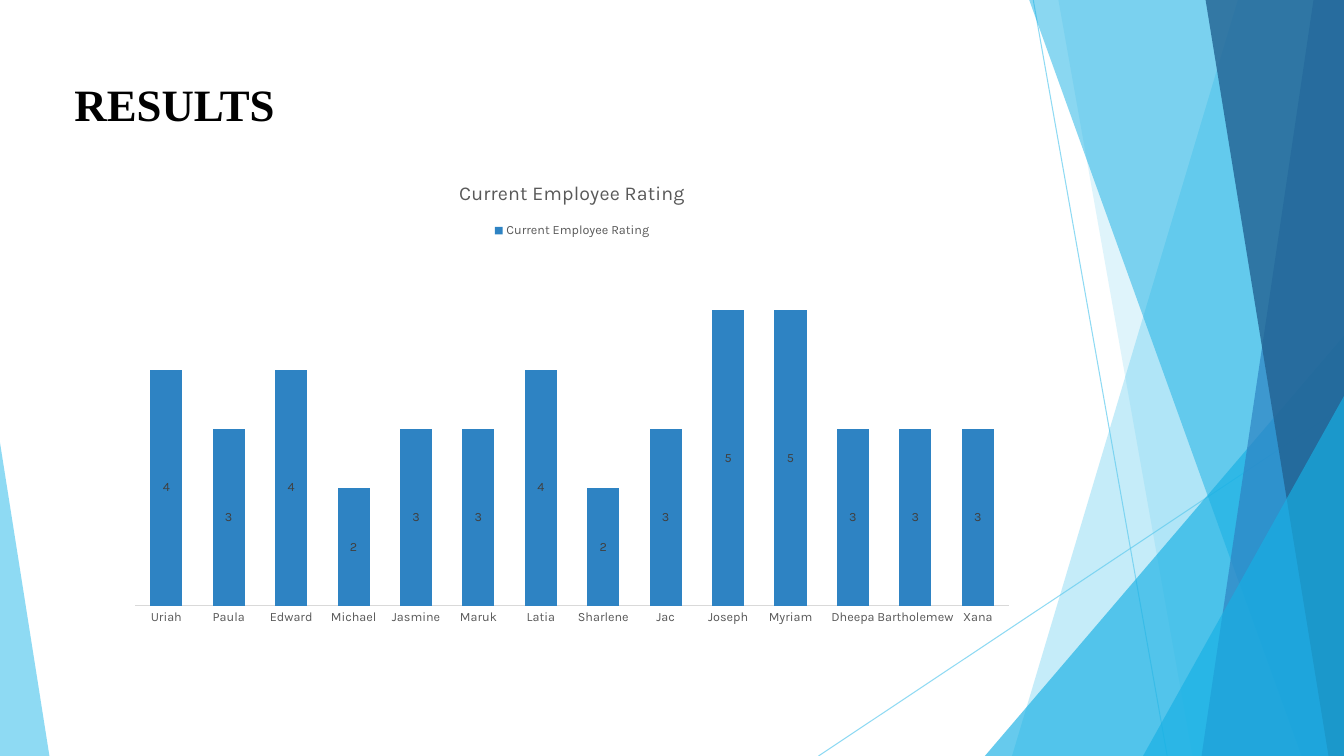
"""Build the results slide: a column chart beside a faceted ribbon."""
from dataclasses import dataclass

from lxml import etree
from pptx import Presentation
from pptx.chart.data import CategoryChartData
from pptx.dml.color import RGBColor
from pptx.enum.chart import (XL_CHART_TYPE, XL_LABEL_POSITION,
                             XL_LEGEND_POSITION, XL_TICK_MARK)
from pptx.enum.shapes import MSO_CONNECTOR, MSO_SHAPE
from pptx.enum.text import MSO_AUTO_SIZE
from pptx.oxml.ns import qn
from pptx.util import Inches, Pt

STACKED = XL_CHART_TYPE.COLUMN_STACKED
CENTER = XL_LABEL_POSITION.CENTER
LEGEND_TOP = XL_LEGEND_POSITION.TOP
NO_TICK = XL_TICK_MARK.NONE
STRAIGHT = MSO_CONNECTOR.STRAIGHT
TRIANGLE = MSO_SHAPE.ISOSCELES_TRIANGLE
GROW = MSO_AUTO_SIZE.SHAPE_TO_FIT_TEXT

WIDE, HIGH = Inches(13.33), Inches(7.5)


@dataclass(frozen=True)
class Theme:
    """Hold the colours, fonts and type sizes."""
    sky: str = "5FCBEF"
    cyan: str = "17B0E4"
    blue: str = "2E83C3"
    navy: str = "226292"
    black: str = "000000"
    dark: str = "404040"
    gray: str = "595959"
    pale: str = "D9D9D9"
    serif: str = "Times New Roman"
    sans: str = "Karla"
    head: int = 32
    title: int = 14
    base: int = 10
    small: int = 9
    thin: float = 0.75


THEME = Theme()
NAME = "Current Employee Rating"
SCORES = {
    "Uriah": 4, "Paula": 3, "Edward": 4, "Michael": 2, "Jasmine": 3,
    "Maruk": 3, "Latia": 4, "Sharlene": 2, "Jac": 3, "Joseph": 5,
    "Myriam": 5, "Dheepa": 3, "Bartholemew": 3, "Xana": 3,
}


def col(share):
    """Turn a percentage of the slide's width into a length."""
    return round(WIDE * share / 100)


def row(share):
    """Turn a percentage of the slide's height into a length."""
    return round(HIGH * share / 100)


def box(left, top, width, height):
    """Turn four percentages into a frame."""
    return col(left), row(top), col(width), row(height)


def tint(fill, color, alpha):
    """Set a solid colour with an opacity in percent."""
    fill.solid()
    fill.fore_color.rgb = RGBColor.from_string(color)
    for node in fill.fore_color._xFill.iter(qn("a:srgbClr")):
        etree.SubElement(node, qn("a:alpha")).set("val", str(alpha * 1000))


def style(font, size, color, face=THEME.sans, bold=False):
    """Set the face, size, colour and weight of a font."""
    font.name, font.size, font.bold = face, Pt(size), bold
    font.color.rgb = RGBColor.from_string(color)


def paint(shape, color, alpha):
    """Give a shape a clear fill without outline or shadow."""
    shape.shadow.inherit = False
    shape.line.fill.background()
    tint(shape.fill, color, alpha)


def add_ray(slide, start, end):
    """Draw a thin clear line between two grid points."""
    ray = slide.shapes.add_connector(
        STRAIGHT, col(start[0]), row(start[1]), col(end[0]), row(end[1]))
    ray.line.width = Pt(THEME.thin)
    tint(ray.line.fill, THEME.sky, 70)
    etree.SubElement(ray._element.spPr, qn("a:effectLst"))


def add_facet(slide, top, foot, color, alpha):
    """Draw a full-height facet from a slanted edge to the right side."""
    pen = slide.shapes.build_freeform(col(top), 0)
    pen.add_line_segments([(WIDE, 0), (WIDE, HIGH), (col(foot), HIGH)])
    paint(pen.convert_to_shape(), color, alpha)


def add_wedge(slide, left, top, width, peak, color, alpha):
    """Draw a triangle standing on the slide's lower edge."""
    wedge = slide.shapes.add_shape(
        TRIANGLE, *box(left, top, width, 100 - top))
    wedge.adjustments[0] = peak
    paint(wedge, color, alpha)


def add_decor(slide):
    """Draw the rays, facets and wedges from back to front."""
    add_ray(slide, (76.88, 0), (86.85, 100))
    add_ray(slide, (100, 53.73), (60.9, 100))
    add_facet(slide, 92.1, 75.3, THEME.sky, 36)
    add_facet(slide, 78.75, 88.73, THEME.sky, 20)
    add_wedge(slide, 73.28, 44.4, 26.72, 1, THEME.cyan, 66)
    add_facet(slide, 76.58, 96.83, THEME.cyan, 50)
    add_facet(slide, 97.73, 89.4, THEME.blue, 70)
    add_facet(slide, 89.7, 98.85, THEME.navy, 80)
    add_wedge(slide, 85.05, 52.4, 14.95, 1, THEME.cyan, 66)
    add_wedge(slide, 0, 58.53, 3.68, 0, THEME.sky, 70)


def add_head(slide, text):
    """Write the slide's heading."""
    frame = slide.shapes.add_textbox(*box(4.8, 8.67, 56.93, 8.53)).text_frame
    frame.word_wrap = True
    frame.auto_size = GROW
    frame.margin_top, frame.margin_bottom = row(1.47), 0
    line = frame.paragraphs[0]
    line.text = text
    style(line.font, THEME.head, THEME.black, THEME.serif, True)


def add_bars(slide, name, scores):
    """Chart the scores as labelled columns."""
    data = CategoryChartData()
    data.categories = list(scores)
    data.add_series(name, list(scores.values()))
    chart = slide.shapes.add_chart(
        STACKED, *box(8.7, 21.47, 67.73, 62.4), data).chart
    style(chart.font, THEME.base, THEME.black)

    chart.has_title = True
    title = chart.chart_title
    title.include_in_layout = False
    line = title.text_frame.paragraphs[0]
    line.text = name
    style(line.font, THEME.title, THEME.gray)

    chart.has_legend = True
    chart.legend.position = LEGEND_TOP
    chart.legend.include_in_layout = False
    style(chart.legend.font, THEME.small, THEME.gray)

    axis = chart.category_axis
    axis.major_tick_mark = axis.minor_tick_mark = NO_TICK
    axis.format.line.width = Pt(THEME.thin)
    axis.format.line.color.rgb = RGBColor.from_string(THEME.pale)
    style(axis.tick_labels.font, THEME.small, THEME.gray)
    scale = chart.value_axis
    scale.minimum_scale, scale.maximum_scale = 0, 6
    scale.has_major_gridlines = False
    scale.visible = False

    plot = chart.plots[0]
    plot.gap_width, plot.overlap = 95, 100
    plot.vary_by_categories = False
    bars = plot.series[0]
    bars.format.fill.solid()
    bars.format.fill.fore_color.rgb = RGBColor.from_string(THEME.blue)
    labels = bars.data_labels
    labels.show_value = True
    labels.position = CENTER
    style(labels.font, THEME.small, THEME.dark)


def main():
    """Build and save the deck."""
    deck = Presentation()
    deck.slide_width, deck.slide_height = WIDE, HIGH
    slide = deck.slides.add_slide(deck.slide_layouts[6])
    add_decor(slide)
    add_head(slide, "RESULTS")
    add_bars(slide, NAME, SCORES)
    deck.save("out.pptx")


if __name__ == "__main__":
    main()
